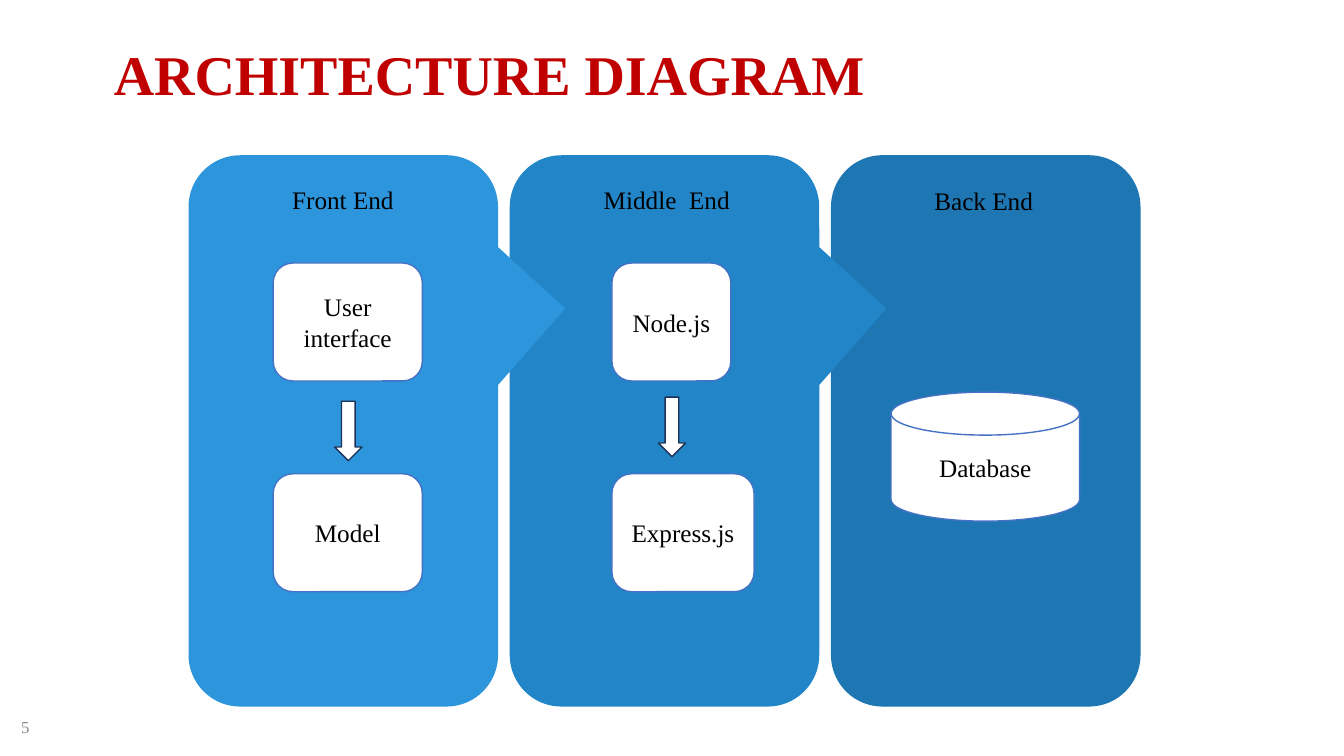
"""Build the architecture diagram slide with its three tiers."""
from typing import NamedTuple

from pptx import Presentation
from pptx.dml.color import RGBColor
from pptx.enum.shapes import MSO_SHAPE as Preset
from pptx.enum.text import MSO_ANCHOR as Anchor, PP_ALIGN as Align
from pptx.util import Inches, Pt

WIDTH, HEIGHT = Inches(13.33), Inches(7.5)
BLACK, WHITE, BORDER, ARROW_BORDER = "000000", "FFFFFF", "4472C4", "1E3256"
TIER_LEFT, TIER_TOP, TIER_WIDTH, TIER_HEIGHT, TIER_PITCH = 14.03, 20.53, 23.03, 72.93, 23.9
TIER_COLOURS = ["2D95DB", "2285C8", "1E76B2"]
POINTER = [0.222, 0.717, 0.167]
UPPER_ROW, LOWER_ROW, NODE_HEIGHT = 34.8, 62.67, 15.6


class Box(NamedTuple):
    """Hold a place as percentages of the slide's width and height."""
    left: float
    top: float
    width: float
    height: float


class Label(NamedTuple):
    """Describe a line of free text."""
    text: str
    box: Box
    size: int = 18
    colour: str = BLACK
    bold: bool = False
    anchor: Anchor = Anchor.TOP
    inset: float = 0.05


class Node(NamedTuple):
    """Describe a white outlined shape."""
    text: str
    box: Box
    preset: Preset = Preset.ROUNDED_RECTANGLE
    border: str = BORDER


LABELS = [
    Label("5", Box(0.83, 92.4, 6, 7.6), 12, "8C8C8C", False, Anchor.MIDDLE, 0.1),
    Label("ARCHITECTURE DIAGRAM", Box(7.73, 4.53, 83.4, 10.27), 40, "C00000", True),
    Label("Front End", Box(21, 23.73, 9.98, 5.33)),
    Label("Middle  End", Box(44.18, 23.73, 11.18, 5.33)),
    Label("Back End", Box(68.78, 23.87, 9.08, 5.33)),
]
NODES = [
    Node("Database", Box(66.3, 51.87, 14.03, 17.07), Preset.FLOWCHART_MAGNETIC_DISK),
    Node("Node.js", Box(45.53, UPPER_ROW, 8.85, NODE_HEIGHT)),
    Node("Express.js", Box(45.53, LOWER_ROW, 10.58, NODE_HEIGHT)),
    Node("User interface", Box(20.33, UPPER_ROW, 11.1, NODE_HEIGHT)),
    Node("Model", Box(20.33, LOWER_ROW, 11.1, NODE_HEIGHT)),
    Node("", Box(24.9, 53.07, 2.03, 7.87), Preset.DOWN_ARROW, ARROW_BORDER),
    Node("", Box(48.98, 52.53, 2.03, 7.87), Preset.DOWN_ARROW, ARROW_BORDER),
]


def colour_of(value: str) -> RGBColor:
    """Turn a hex string into a colour."""
    return RGBColor.from_string(value)


def place(box: Box) -> list[int]:
    """Turn a box into left, top, width and height."""
    return [round(share * whole / 100) for share, whole in zip(box, (WIDTH, HEIGHT) * 2)]


def apply_format(target: object, values: dict) -> None:
    """Set every named attribute on the target."""
    for name, value in values.items():
        setattr(target, name, value)


def write(shape, text: str, size: int, colour: str, bold: bool, align: Align) -> None:
    """Write one formatted paragraph into a shape."""
    paragraph = shape.text_frame.paragraphs[0]
    paragraph.alignment = align
    run = paragraph.add_run()
    run.text = text
    apply_format(run.font, {"name": "Times New Roman", "size": Pt(size), "bold": bold})
    run.font.color.rgb = colour_of(colour)


def add_preset(slide, preset: Preset, place_values: list[int], fill: str):
    """Add a flat filled shape without an outline."""
    shape = slide.shapes.add_shape(preset, *place_values)
    shape.shadow.inherit = False
    shape.fill.solid()
    shape.fill.fore_color.rgb = colour_of(fill)
    shape.line.fill.background()
    return shape


def add_tier(slide, column: int) -> None:
    """Add a tier, pointing at the next one unless it is the last."""
    left, top, width, height = place(
        Box(TIER_LEFT + column * TIER_PITCH, TIER_TOP, TIER_WIDTH, TIER_HEIGHT))
    if column == len(TIER_COLOURS) - 1:
        add_preset(slide, Preset.ROUNDED_RECTANGLE, [left, top, width, height], TIER_COLOURS[column])
        return
    shift = (height - width) // 2
    tier = add_preset(slide, Preset.ROUNDED_RECTANGULAR_CALLOUT,
                      [left - shift, top + shift, height, width], TIER_COLOURS[column])
    tier.rotation = 270
    for index, value in enumerate(POINTER):
        tier.adjustments[index] = value


def add_node(slide, node: Node) -> None:
    """Add a white shape with its outline and text."""
    shape = add_preset(slide, node.preset, place(node.box), WHITE)
    shape.line.color.rgb = colour_of(node.border)
    shape.line.width = Pt(1)
    if node.text:
        apply_format(shape.text_frame, {"word_wrap": True, "vertical_anchor": Anchor.MIDDLE})
        write(shape, node.text, 18, BLACK, False, Align.CENTER)


def add_label(slide, label: Label) -> None:
    """Add a text box."""
    shape = slide.shapes.add_textbox(*place(label.box))
    apply_format(shape.text_frame, {
        "word_wrap": True, "vertical_anchor": label.anchor,
        "margin_top": Inches(label.inset), "margin_bottom": Inches(label.inset)})
    write(shape, label.text, label.size, label.colour, label.bold, Align.LEFT)


def main() -> None:
    """Build and save the slide."""
    presentation = Presentation()
    apply_format(presentation, {"slide_width": WIDTH, "slide_height": HEIGHT})
    slide = presentation.slides.add_slide(presentation.slide_layouts[6])
    for column in reversed(range(len(TIER_COLOURS))):
        add_tier(slide, column)
    for node in NODES:
        add_node(slide, node)
    for label in LABELS:
        add_label(slide, label)
    presentation.save("out.pptx")


if __name__ == "__main__":
    main()
